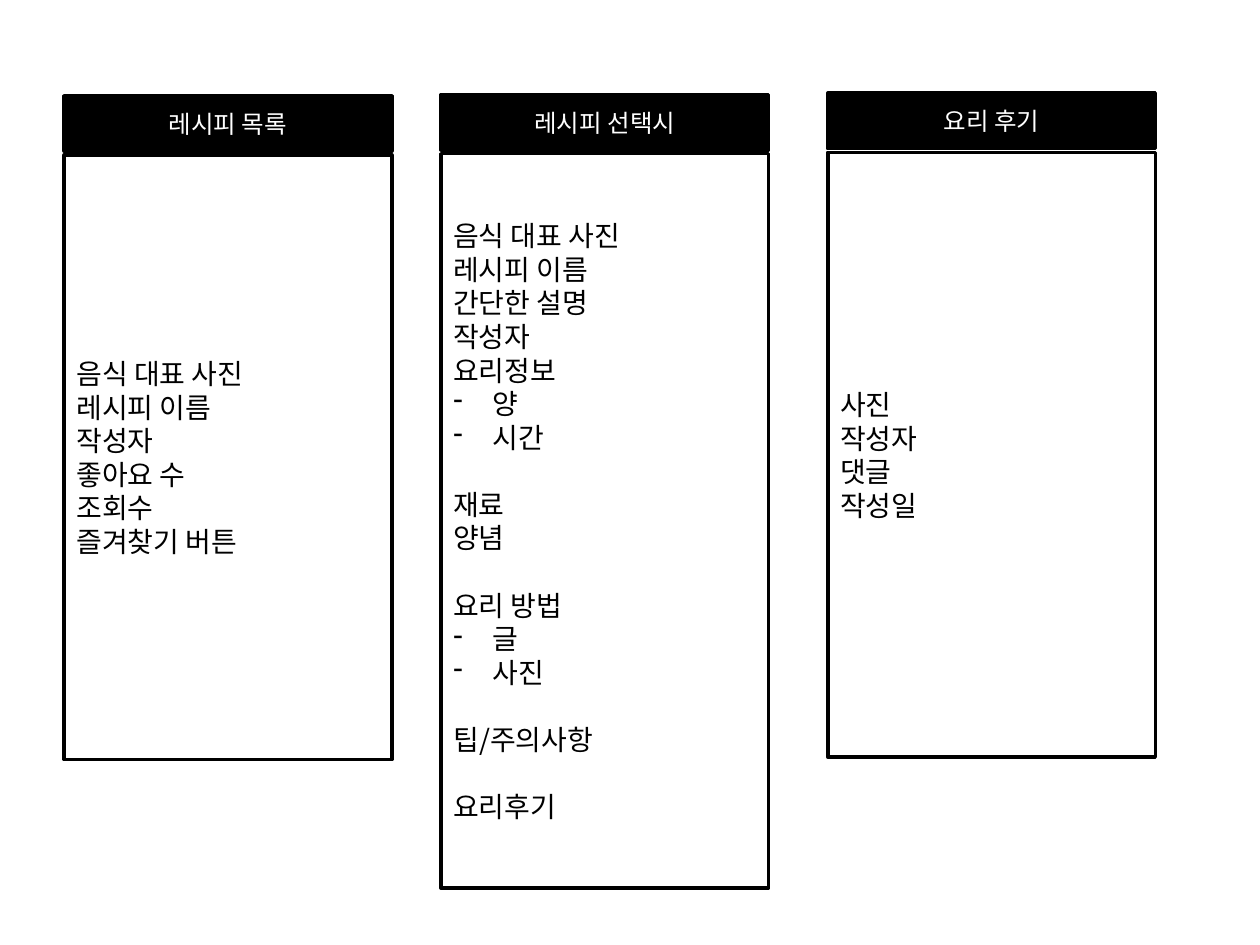
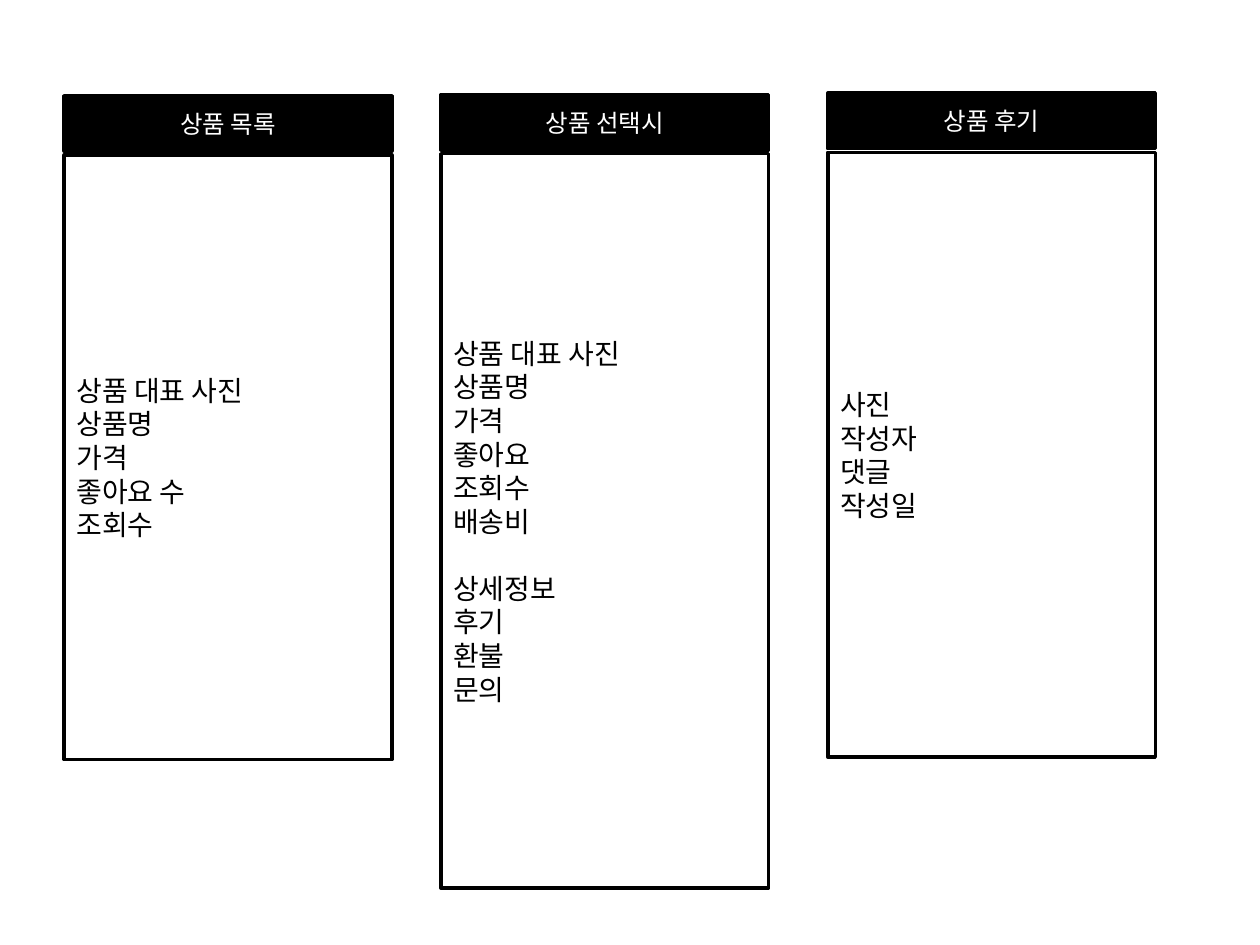
import pptx
import pptx.dml.color
import pptx.enum.shapes
import pptx.enum.text
import pptx.oxml.ns
import pptx.util
from dataclasses import dataclass
from lxml import etree
from pptx.util import Inches


@dataclass(frozen=True)
class Theme:
    """Colours, font and type sizes shared by all slides."""
    ink: str = "000000"
    paper: str = "FFFFFF"
    font: str = "Noto Sans CJK KR"
    header_size: float = 14
    body_size: float = 16
    body_pitch: float = 19.2
    line_width: float = 2


theme = Theme()


def add_box(group, left, top, width, height, fill):
    """Add an outlined rectangle with vertically centred text."""
    box = group.shapes.add_shape(
        pptx.enum.shapes.MSO_SHAPE.RECTANGLE,
        Inches(left), Inches(top), Inches(width), Inches(height))
    box.shadow.inherit = False
    box.fill.solid()
    box.fill.fore_color.rgb = pptx.dml.color.RGBColor.from_string(fill)
    box.line.color.rgb = pptx.dml.color.RGBColor.from_string(theme.ink)
    box.line.width = pptx.util.Pt(theme.line_width)
    box.text_frame.word_wrap = True
    box.text_frame.vertical_anchor = pptx.enum.text.MSO_ANCHOR.MIDDLE
    return box


def write(para, text, size, color, align):
    """Set a paragraph's text and format it for Latin and Korean script."""
    para.text = text
    para.alignment = align
    span = para.runs[0]
    span.font.size = pptx.util.Pt(size)
    span.font.name = theme.font
    span.font.color.rgb = pptx.dml.color.RGBColor.from_string(color)
    east_asian = etree.SubElement(span.font._element, pptx.oxml.ns.qn("a:ea"))
    east_asian.set("typeface", theme.font)


# Column geometry in inches: left, header top, body height
columns = [(0.51, 0.76, 4.8), (3.5, 0.75, 5.83), (6.57, 0.74, 4.8)]
column_width, header_height, body_offset = 2.6, 0.44, 0.47
bullet_indent = 0.31

# Each screen has a heading and blocks of lines; "- " marks a bullet
review_blocks = [["사진", "작성자", "댓글", "작성일"]]
slides = [
    [
        ("레시피 목록", [["음식 대표 사진", "레시피 이름", "작성자", "좋아요 수",
                      "조회수", "즐겨찾기 버튼"]]),
        ("레시피 선택시", [
            ["음식 대표 사진", "레시피 이름", "간단한 설명", "작성자",
             "요리정보", "- 양", "- 시간"],
            ["재료", "양념"],
            ["요리 방법", "- 글", "- 사진"],
            ["팁/주의사항"],
            ["요리후기"],
        ]),
        ("요리 후기", review_blocks),
    ],
    [
        ("상품 목록", [["상품 대표 사진", "상품명", "가격", "좋아요 수", "조회수"]]),
        ("상품 선택시", [
            ["상품 대표 사진", "상품명", "가격", "좋아요", "조회수", "배송비"],
            ["상세정보", "후기", "환불", "문의"],
        ]),
        ("상품 후기", review_blocks),
    ],
]

deck = pptx.Presentation()
deck.slide_width, deck.slide_height = Inches(10), Inches(7.5)
blank_layout = deck.slide_layouts[6]

for screens in slides:
    page = deck.slides.add_slide(blank_layout)
    for (left, top, body_height), (heading, blocks) in zip(columns, screens):
        group = page.shapes.add_group_shape()
        header = add_box(group, left, top, column_width, header_height, theme.ink)
        write(header.text_frame.paragraphs[0], heading, theme.header_size,
              theme.paper, pptx.enum.text.PP_ALIGN.CENTER)

        body = add_box(group, left, top + body_offset, column_width,
                       body_height, theme.paper)
        para = None
        for block_number, block in enumerate(blocks):
            for line_number, line in enumerate(block):
                frame = body.text_frame
                para = frame.add_paragraph() if para else frame.paragraphs[0]
                write(para, line.removeprefix("- "), theme.body_size,
                      theme.ink, pptx.enum.text.PP_ALIGN.LEFT)
                para.line_spacing = pptx.util.Pt(theme.body_pitch)
                if block_number and line_number == 0:
                    para.space_before = pptx.util.Pt(theme.body_pitch)
                if line.startswith("- "):
                    properties = para._p.get_or_add_pPr()
                    properties.set("marL", str(Inches(bullet_indent)))
                    properties.set("indent", str(-Inches(bullet_indent)))
                    bullet = etree.SubElement(properties, pptx.oxml.ns.qn("a:buChar"))
                    bullet.set("char", "-")

deck.save("out.pptx")
